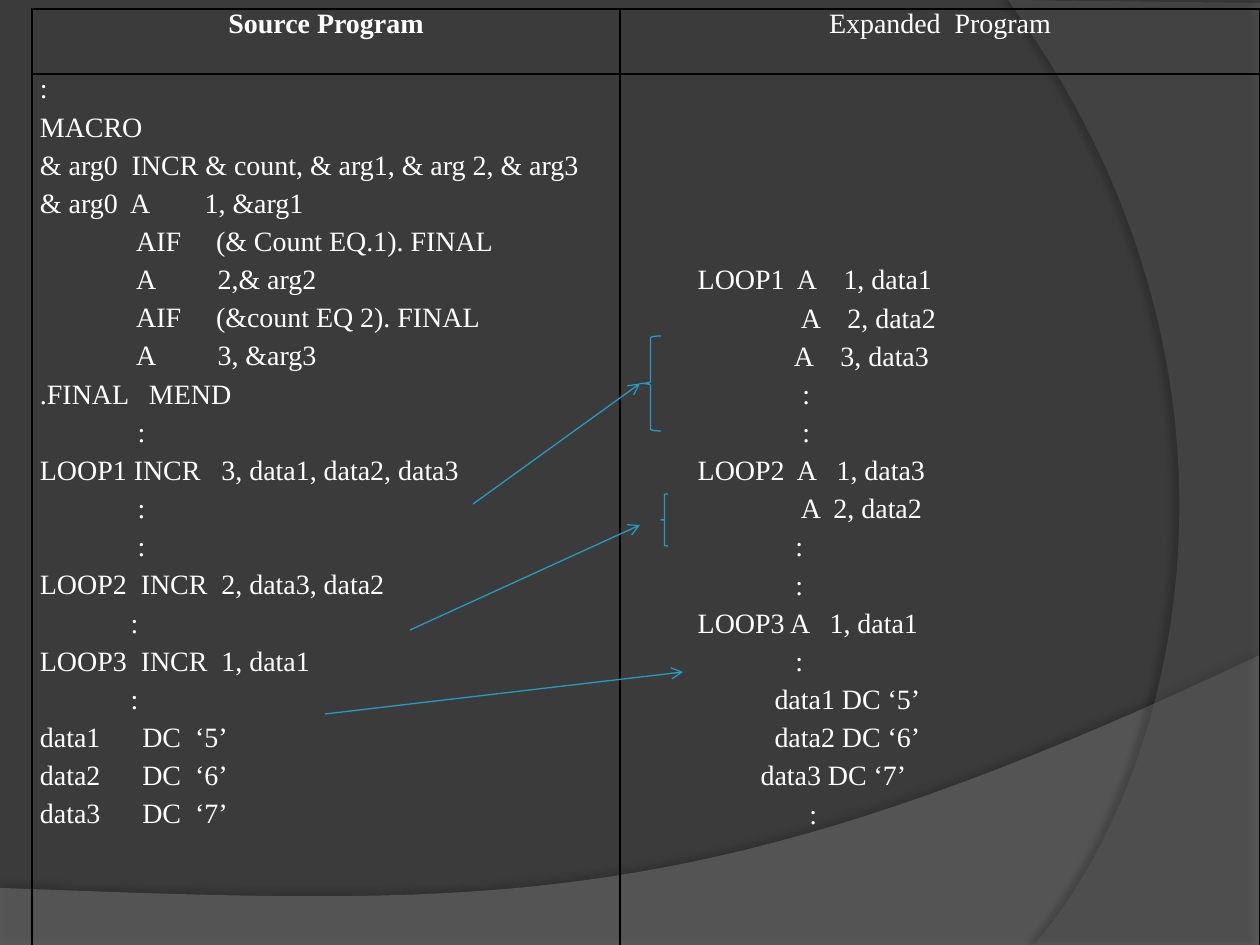
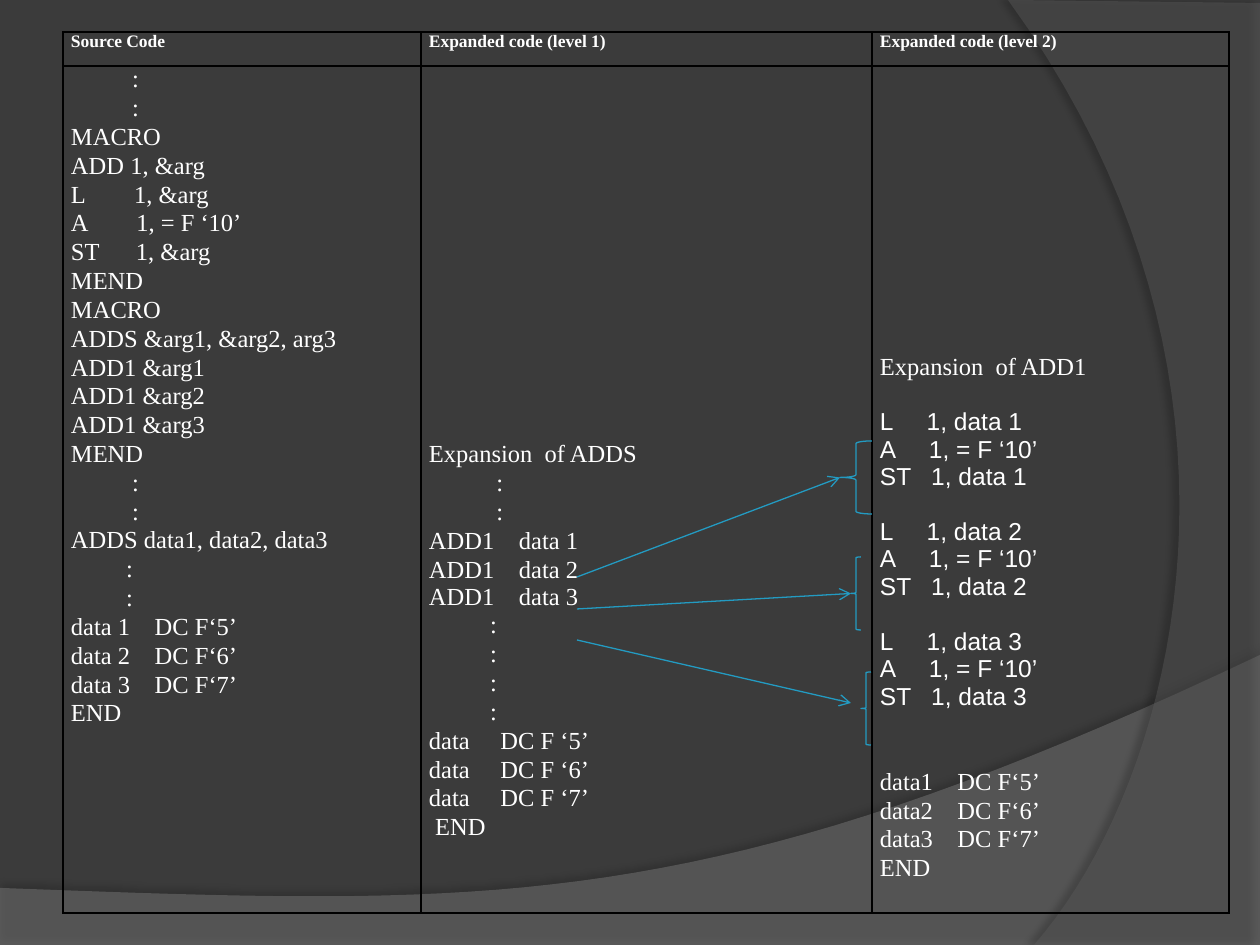
from lxml.etree import SubElement
from pptx import Presentation
from pptx.dml.color import RGBColor
from pptx.enum.shapes import MSO_CONNECTOR, MSO_SHAPE
from pptx.enum.text import MSO_ANCHOR, PP_ALIGN
from pptx.oxml.ns import qn
from pptx.util import Pt

# Shared style
PX = 914400 / 126
WIDTH, HEIGHT = 1260, 945
BACKDROP = RGBColor(0x3B, 0x3B, 0x3B)
WAVE = RGBColor(0x7F, 0x7F, 0x7F)
ARC = RGBColor(0x5E, 0x5E, 0x5E)
BLACK = RGBColor(0, 0, 0)
WHITE = RGBColor(0xFF, 0xFF, 0xFF)
ACCENT = RGBColor(0x23, 0x9B, 0xC2)
SERIF, SANS = "Times New Roman", "Arial"

# Code listings
CONDITIONAL_SOURCE = """\
:
MACRO
& arg0  INCR & count, & arg1, & arg 2, & arg3
& arg0  A        1, &arg1
              AIF     (& Count EQ.1). FINAL
              A         2,& arg2
              AIF     (&count EQ 2). FINAL
              A         3, &arg3
.FINAL   MEND
              :
LOOP1 INCR   3, data1, data2, data3
              :
              :
LOOP2  INCR  2, data3, data2
             :
LOOP3  INCR  1, data1
             :
data1      DC  ‘5’
data2      DC  ‘6’
data3      DC  ‘7’"""
CONDITIONAL_EXPANDED = """\
          LOOP1  A    1, data1
                         A    2, data2
                        A    3, data3
                         :
                         :
          LOOP2  A   1, data3
                         A  2, data2
                        :
                        :
          LOOP3 A   1, data1
                        :
                     data1 DC ‘5’
                     data2 DC ‘6’
                   data3 DC ‘7’
                          :"""
NESTED_SOURCE = """\
          :
          :
MACRO
ADD 1, &arg
L        1, &arg
A        1, = F ‘10’
ST      1, &arg
MEND
MACRO
ADDS &arg1, &arg2, arg3
ADD1 &arg1
ADD1 &arg2
ADD1 &arg3
MEND
          :
          :
ADDS data1, data2, data3
         :
         :
data 1    DC F‘5’
data 2    DC F‘6’
data 3    DC F‘7’
END"""
NESTED_LEVEL_1 = """\
Expansion  of ADDS
           :
           :
ADD1    data 1
ADD1    data 2
ADD1    data 3
          :
          :
          :
          :
data     DC F ‘5’
data     DC F ‘6’
data     DC F ‘7’
 END"""
NESTED_LEVEL_2 = """\
Expansion  of ADD1
L     1, data 1
A     1, = F ‘10’
ST   1, data 1
L     1, data 2
A     1, = F ‘10’
ST   1, data 2
L     1, data 3
A     1, = F ‘10’
ST   1, data 3
data1    DC F‘5’
data2    DC F‘6’
data3    DC F‘7’
END"""


def px(length):
    return round(length * PX)


def bezier(start, control_1, control_2, end, steps=40):
    """Points along a cubic curve, without its start."""
    points = []
    for step in range(1, steps + 1):
        t = step / steps
        weights = ((1 - t) ** 3, 3 * t * (1 - t) ** 2, 3 * t * t * (1 - t), t ** 3)
        corners = (start, control_1, control_2, end)
        points.append(tuple(sum(w * c[axis] for w, c in zip(weights, corners))
                            for axis in (0, 1)))
    return points


class Deck:
    def __init__(self):
        self.prs = Presentation()
        self.prs.slide_width, self.prs.slide_height = px(WIDTH), px(HEIGHT)
        self.slide = None

    def new_slide(self):
        self.slide = self.prs.slides.add_slide(self.prs.slide_layouts[6])
        fill = self.slide.background.fill
        fill.solid()
        fill.fore_color.rgb = BACKDROP
        wave_edge = bezier((WIDTH, 655), (704, 919), (493, 906), (0, 888))
        self.swoosh([(0, 888), (0, HEIGHT), (WIDTH, HEIGHT), (WIDTH, 655), *wave_edge],
                    WAVE, alpha=45, shadow=(35, 3.5, 270))
        arc_edge = bezier((1034, HEIGHT), (1178, 780), (1283, 378), (1008, 0))
        self.swoosh([(WIDTH, 3), (WIDTH, HEIGHT), (1034, HEIGHT), *arc_edge],
                    ARC, alpha=40, shadow=(45, 4, 180))

    def swoosh(self, points, color, alpha, shadow):
        (x, y), *rest = [(px(x), px(y)) for x, y in points]
        builder = self.slide.shapes.build_freeform(x, y)
        builder.add_line_segments(rest, close=True)
        shape = builder.convert_to_shape()
        shape.fill.solid()
        shape.fill.fore_color.rgb = color
        shape.line.fill.background()
        shape.shadow.inherit = False
        properties = shape.element.spPr
        tint = properties.find(qn("a:solidFill")).find(qn("a:srgbClr"))
        SubElement(tint, qn("a:alpha"), val=str(alpha * 1000))
        opacity, distance, angle = shadow
        outer = SubElement(properties.find(qn("a:effectLst")), qn("a:outerShdw"),
                           blurRad=str(Pt(4)), dist=str(Pt(distance)),
                           dir=str(angle * 60000), rotWithShape="0")
        shade = SubElement(outer, qn("a:srgbClr"), val=str(BLACK))
        SubElement(shade, qn("a:alpha"), val=str(opacity * 1000))

    def table(self, left, top, widths, heights):
        frame = self.slide.shapes.add_table(len(heights), len(widths), px(left), px(top),
                                            px(sum(widths)), px(sum(heights)))
        table = frame.table
        table.first_row = table.horz_banding = False
        for column, width in zip(table.columns, widths):
            column.width = px(width)
        for row, height in zip(table.rows, heights):
            row.height = px(height)
        return table

    def cell(self, cell, text, size, before, after=0, bold=False,
             align=PP_ALIGN.LEFT, drop=0, gaps={}, breaks=(), sans=()):
        """Fill a cell; gaps maps line numbers to their space before,
        and the lines in breaks stay in the paragraph above them."""
        layout = {"margin_left": px(8), "margin_right": px(8), "margin_top": px(drop),
                  "margin_bottom": 0, "vertical_anchor": MSO_ANCHOR.TOP}
        for name, value in layout.items():
            setattr(cell, name, value)
        properties = cell._tc.get_or_add_tcPr()
        for side in ("lnL", "lnR", "lnT", "lnB"):
            border = SubElement(properties, qn(f"a:{side}"), w=str(Pt(1)))
            SubElement(SubElement(border, qn("a:solidFill")), qn("a:srgbClr"),
                       val=str(BLACK))
        cell.fill.background()
        frame = cell.text_frame
        paragraph = frame.paragraphs[0]
        for number, line in enumerate(text.splitlines()):
            if number in breaks:
                paragraph.add_line_break()
            else:
                paragraph = frame.add_paragraph() if number else paragraph
                paragraph.alignment = align
                paragraph.space_before = Pt(gaps.get(number, before) if number else 0)
                paragraph.space_after = Pt(after)
            run = paragraph.add_run()
            run.text = line
            form = {"name": SANS if number in sans else SERIF,
                    "size": Pt(size), "bold": bold}
            for name, value in form.items():
                setattr(run.font, name, value)
            run.font.color.rgb = WHITE

    def outline(self, shape):
        shape.line.color.rgb = ACCENT
        shape.line.width = Pt(0.75)

    def brace(self, left, top, width, height):
        brace = self.slide.shapes.add_shape(MSO_SHAPE.LEFT_BRACE, px(left), px(top),
                                            px(width), px(height))
        brace.shadow.inherit = False
        brace.fill.background()
        self.outline(brace)
        return brace

    def arrow(self, start, end=None, brace=None):
        """Draw an arrow to a point, or to the tip of a brace."""
        x, y = end or start
        arrow = self.slide.shapes.add_connector(
            MSO_CONNECTOR.STRAIGHT, px(start[0]), px(start[1]), px(x), px(y))
        if brace is not None:
            arrow.end_connect(brace, 1)
        self.outline(arrow)
        properties = arrow.element.spPr
        SubElement(properties.find(qn("a:ln")), qn("a:tailEnd"), type="arrow")
        SubElement(properties, qn("a:effectLst"))


def conditional_expansion(deck):
    deck.new_slide()
    table = deck.table(32, 9, (588, 640), (65, 873, 32))
    spacing = {"size": 16, "before": 2, "after": 2}
    deck.cell(table.cell(0, 0), "Source Program", bold=True, align=PP_ALIGN.CENTER, **spacing)
    deck.cell(table.cell(0, 1), "Expanded  Program", align=PP_ALIGN.CENTER, **spacing)
    deck.cell(table.cell(1, 0), CONDITIONAL_SOURCE, **spacing)
    deck.cell(table.cell(1, 1), CONDITIONAL_EXPANDED, drop=191, **spacing)
    for column in range(2):
        deck.cell(table.cell(2, column), "", **spacing)
    # Calls and what they expand to
    loop1 = deck.brace(640, 336, 21, 95)
    deck.brace(661, 494, 7, 52)
    deck.arrow((473, 504), brace=loop1)
    deck.arrow((410, 630), (640, 525))
    deck.arrow((325, 714), (683, 672))


def nested_expansion(deck):
    deck.new_slide()
    table = deck.table(63, 32, (358, 451, 357), (34, 847))
    headings = ("Source Code", "Expanded code (level 1)", "Expanded code (level 2)")
    for column, heading in enumerate(headings):
        deck.cell(table.cell(0, column), heading, size=10, before=1, bold=True)
    adds_lines = range(1, 10)
    level_2_gaps = {**dict.fromkeys(adds_lines, 0),
                    **dict.fromkeys(adds_lines[::3], 15.6), 10: 33}
    listings = (
        (NESTED_SOURCE, {}),
        (NESTED_LEVEL_1, {"drop": 375, "breaks": (5,)}),
        (NESTED_LEVEL_2, {"drop": 288, "gaps": level_2_gaps, "sans": adds_lines}),
    )
    for column, (listing, form) in enumerate(listings):
        deck.cell(table.cell(1, column), listing, size=14, before=1, **form)
    # Calls and what they expand to
    data1 = deck.brace(840, 441, 32, 73)
    data2 = deck.brace(851, 557, 10, 73)
    deck.brace(861, 672, 10, 73)
    deck.arrow((577, 577), brace=data1)
    deck.arrow((577, 609), brace=data2)
    deck.arrow((577, 640), (851, 703))


def main():
    deck = Deck()
    conditional_expansion(deck)
    nested_expansion(deck)
    deck.prs.save("out.pptx")


if __name__ == "__main__":
    main()
